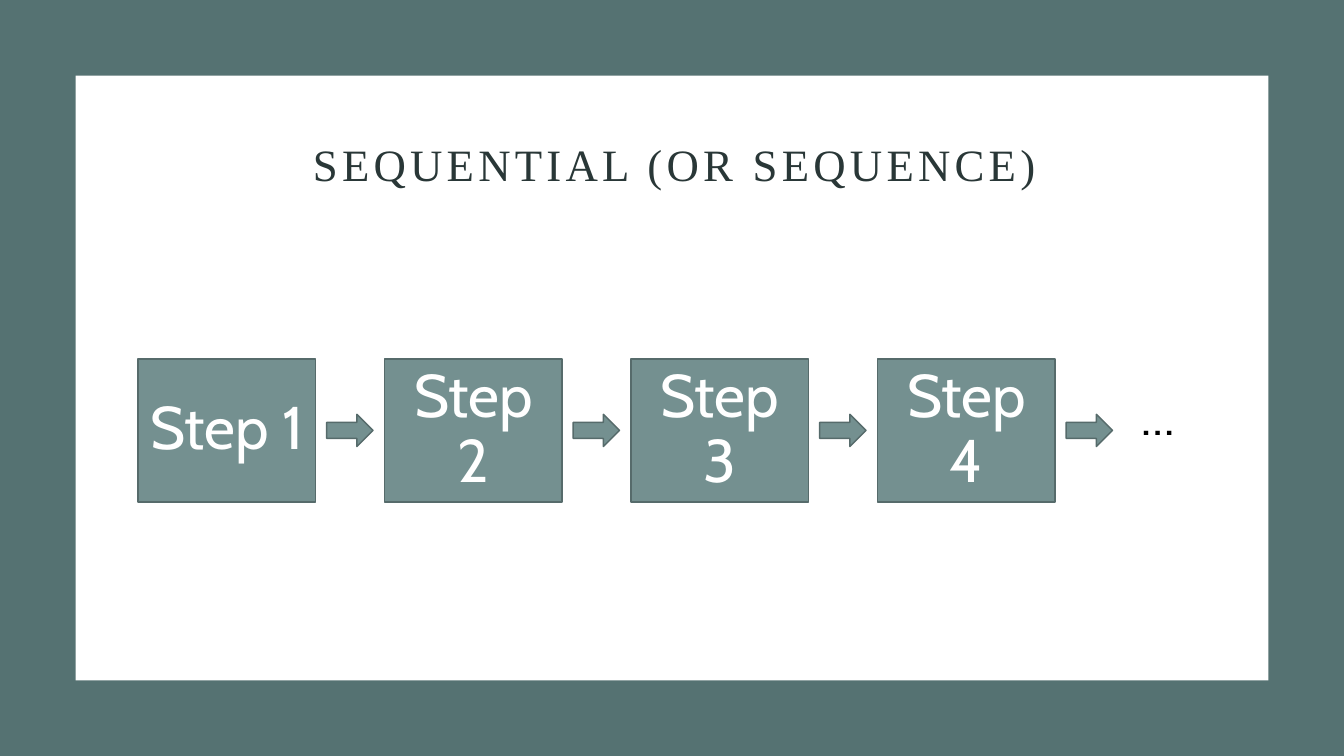
import pptx
import pptx.dml.color
import pptx.enum.shapes
import pptx.enum.text
import pptx.util

Inches = pptx.util.Inches
Pt = pptx.util.Pt
RGBColor = pptx.dml.color.RGBColor
SHAPE = pptx.enum.shapes.MSO_SHAPE
ALIGN = pptx.enum.text.PP_ALIGN
MIDDLE = pptx.enum.text.MSO_ANCHOR.MIDDLE

# Content
TITLE = "SEQUENTIAL (OR SEQUENCE)"
STEPS = ["Step 1", "Step 2", "Step 3", "Step 4"]
MORE = "…"

# Colours
FRAME = RGBColor(0x55, 0x72, 0x72)
STEP_FILL = RGBColor(0x74, 0x90, 0x90)
STEP_LINE = RGBColor(0x56, 0x6B, 0x6B)
TITLE_INK = RGBColor(0x29, 0x37, 0x37)
WHITE = RGBColor(0xFF, 0xFF, 0xFF)
BLACK = RGBColor(0, 0, 0)

# Text formats
TITLE_FONT = {"name": "Times New Roman", "size": Pt(32), "bold": False}
STEP_FONT = {"name": "Cabin", "size": Pt(43)}
MORE_FONT = {"name": "Cabin", "size": Pt(35)}

# Layout in inches
WIDTH, HEIGHT = 13.33, 7.5
MARGIN = 0.75
FIRST_STEP, STEP_TOP, STEP_PITCH = 1.37, 3.56, 2.445
STEP_WIDTH, STEP_HEIGHT = 1.76, 1.42
ARROW_GAP, ARROW_WIDTH, ARROW_HEIGHT = 0.11, 0.46, 0.32
ARROW_TOP = STEP_TOP + (STEP_HEIGHT - ARROW_HEIGHT) / 2


def add_block(slide, kind, box, fill, line=None):
    shape = slide.shapes.add_shape(kind, *map(Inches, box))
    shape.shadow.inherit = False
    shape.fill.solid()
    shape.fill.fore_color.rgb = fill
    if line is None:
        shape.line.fill.background()
    else:
        shape.line.color.rgb = line
        shape.line.width = Pt(1)
    return shape


def write(shape, text, font, color, alignment, space_after=6, side=0.1):
    frame = shape.text_frame
    settings = {"word_wrap": True, "vertical_anchor": MIDDLE,
                "auto_size": pptx.enum.text.MSO_AUTO_SIZE.NONE,
                "margin_left": Inches(side), "margin_right": Inches(side)}
    for name, value in settings.items():
        setattr(frame, name, value)
    paragraph = frame.paragraphs[0]
    layout = {"alignment": alignment, "line_spacing": 0.9,
              "space_before": Pt(0), "space_after": Pt(space_after)}
    for name, value in layout.items():
        setattr(paragraph, name, value)
    run = paragraph.add_run()
    run.text = text
    for name, value in font.items():
        setattr(run.font, name, value)
    run.font.color.rgb = color
    return run


def main():
    presentation = pptx.Presentation()
    presentation.slide_width = Inches(WIDTH)
    presentation.slide_height = Inches(HEIGHT)
    slide = presentation.slides.add_slide(presentation.slide_layouts[5])

    # Frame and white panel
    for inset, color in [(0, FRAME), (MARGIN, WHITE)]:
        box = (inset, inset, WIDTH - 2 * inset, HEIGHT - 2 * inset)
        add_block(slide, SHAPE.RECTANGLE, box, color)

    # Title, brought in front of the panel
    title = slide.shapes.title
    title.left, title.top = Inches(1.5), Inches(1.17)
    title.width, title.height = Inches(10.38), Inches(0.98)
    run = write(title, TITLE, TITLE_FONT, TITLE_INK, ALIGN.CENTER, space_after=0)
    run.font._element.set("spc", "300")
    title.element.getparent().append(title.element)

    # Steps, each followed by an arrow
    for index, step in enumerate(STEPS):
        left = FIRST_STEP + index * STEP_PITCH
        box = (left, STEP_TOP, STEP_WIDTH, STEP_HEIGHT)
        shape = add_block(slide, SHAPE.RECTANGLE, box, STEP_FILL, STEP_LINE)
        write(shape, step, STEP_FONT, WHITE, ALIGN.CENTER)
        box = (left + STEP_WIDTH + ARROW_GAP, ARROW_TOP, ARROW_WIDTH, ARROW_HEIGHT)
        add_block(slide, SHAPE.RIGHT_ARROW, box, STEP_FILL, STEP_LINE)

    # Continuation mark
    more = slide.shapes.add_textbox(*map(Inches, (11.25, 3.83, 0.76, 0.67)))
    write(more, MORE, MORE_FONT, BLACK, ALIGN.LEFT, side=0.07)

    presentation.save("out.pptx")


if __name__ == "__main__":
    main()
